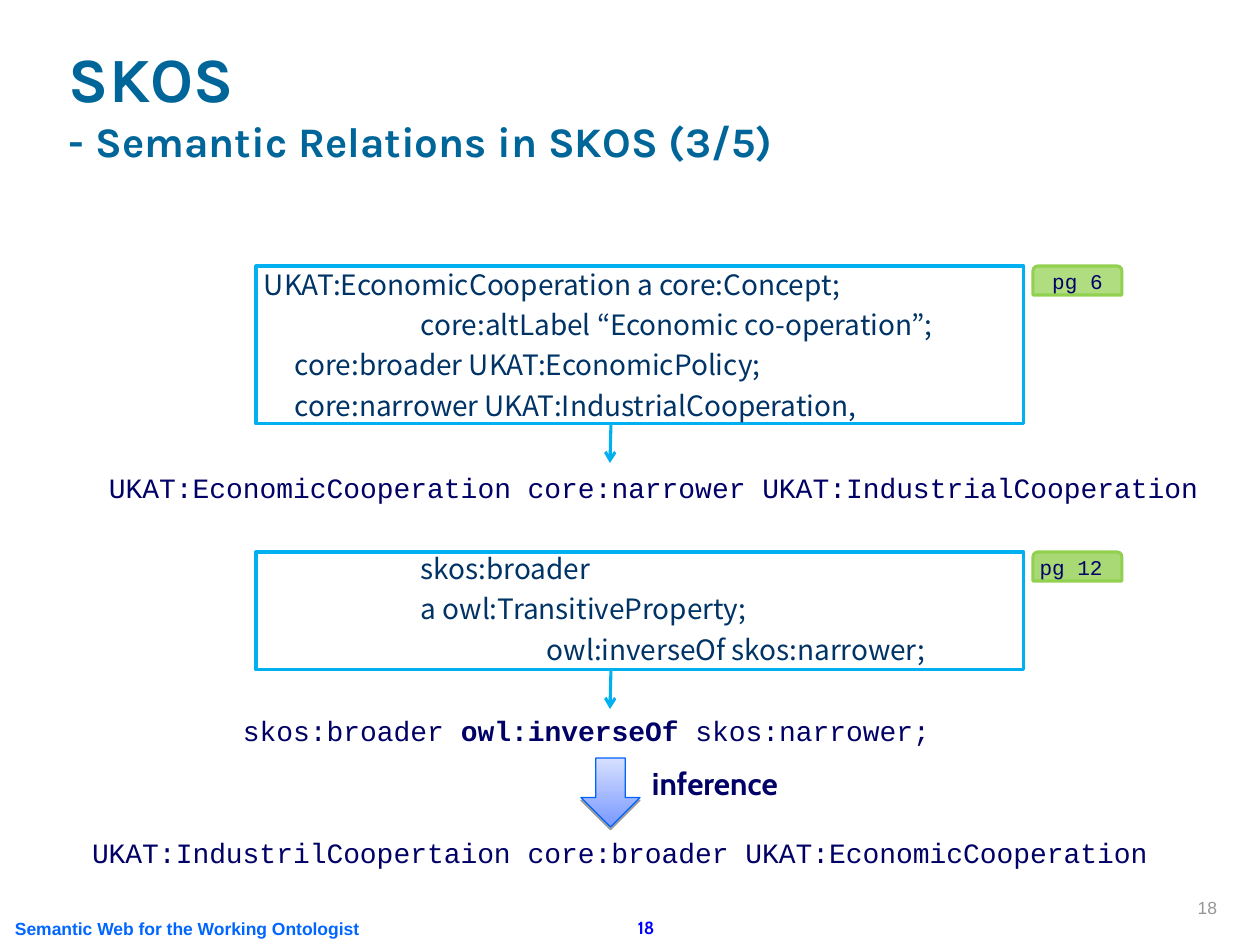
"""Build the SKOS semantic relations slide."""
import pptx
import pptx.dml.color
import pptx.enum.shapes
import pptx.enum.text
import pptx.oxml
import pptx.oxml.ns
import pptx.util

SCALE = 914400 // 126
SHAPES = pptx.enum.shapes.MSO_SHAPE
ALIGN = pptx.enum.text.PP_ALIGN
ANCHOR = pptx.enum.text.MSO_ANCHOR
NAVY, CYAN, GREEN = "000066", "00B0F0", "92D050"

TITLE = {"name": "Karla", "bold": True, "color": "006699"}
CODE = {"name": "Noto Sans CJK KR", "size": 16, "color": "003366"}
TRIPLE = {"name": "Courier New", "size": 16, "color": NAVY}
TAG = {**TRIPLE, "size": 12}
INFERENCE = {"name": "Cabin", "size": 18, "bold": True, "color": NAVY}
SOURCE = {"name": "Arial", "size": 10, "bold": True, "color": "0066FF"}
PAGE = {"name": "Cabin", "size": 10, "bold": True, "color": "0000FF"}
CORNER_PAGE = {"name": "Arial", "size": 10, "color": "969696"}

TITLE_LINES = [("SKOS", 36), ("- Semantic Relations in SKOS (3/5)", 24)]

# (top, height, bottom inset, page tag, tag opacity, [(indent, code line)])
LISTINGS = [
    (266, 158, 2, "pg 6", 72, [
        (8, "UKAT:EconomicCooperation a core:Concept;"),
        (165, "core:altLabel “Economic co-operation”;"),
        (39, "core:broader UKAT:EconomicPolicy;"),
        (39, "core:narrower UKAT:IndustrialCooperation,"),
    ]),
    (552, 118, 4, "pg 12 ", 79, [
        (165, "skos:broader"),
        (165, "a owl:TransitiveProperty;"),
        (291, "owl:inverseOf skos:narrower;"),
    ]),
]

# (left, middle, [(text, bold)])
TRIPLES = [
    (109, 487, [("UKAT:EconomicCooperation core:narrower UKAT:IndustrialCooperation", False)]),
    (243, 730, [("skos:broader ", False), ("owl:inverseOf", True), (" skos:narrower;", False)]),
    (92, 852, [("UKAT:IndustrilCoopertaion core:broader UKAT:EconomicCooperation", False)]),
]

# (area, text, style, alignment, anchor)
LABELS = [
    ((639, 758, 207, 50), "inference", INFERENCE, ALIGN.LEFT, ANCHOR.TOP),
    ((2, 912, 440, 33), "Semantic Web for the Working Ontologist", SOURCE,
     ALIGN.LEFT, ANCHOR.TOP),
    ((591, 911, 110, 34), "18", PAGE, ALIGN.CENTER, ANCHOR.TOP),
    ((968, 861, 262, 63), "18", CORNER_PAGE, ALIGN.RIGHT, ANCHOR.BOTTOM),
]


def px(*lengths):
    return [pptx.util.Emu(length * SCALE) for length in lengths]


def rgb(value):
    return pptx.dml.color.RGBColor.from_string(value)


def add_xml(parent, body):
    parent.append(pptx.oxml.parse_xml(body.replace(">", f" {pptx.oxml.ns.nsdecls('a')}>", 1)))


def style_font(font, style):
    for key, value in style.items():
        if key == "color":
            font.color.rgb = rgb(value)
        else:
            setattr(font, key, pptx.util.Pt(value) if key == "size" else value)


def style_frame(frame, insets, anchor=ANCHOR.TOP, wrap=False):
    left, top, right, bottom = px(*insets)
    settings = {"margin_left": left, "margin_top": top, "margin_right": right,
                "margin_bottom": bottom, "vertical_anchor": anchor, "word_wrap": wrap}
    for key, value in settings.items():
        setattr(frame, key, value)


def write(paragraph, text, style, alignment=ALIGN.LEFT):
    paragraph.alignment = alignment
    run = paragraph.add_run()
    run.text = text
    style_font(run.font, style)


def next_paragraph(frame, index):
    return frame.add_paragraph() if index else frame.paragraphs[0]


def add_label(slide, area, text, style, alignment, anchor):
    frame = slide.shapes.add_textbox(*px(*area)).text_frame
    style_frame(frame, (13, 6, 13, 6), anchor, True)
    write(frame.paragraphs[0], text, style, alignment)


def add_outlined(slide, preset, area, color, width):
    shape = slide.shapes.add_shape(preset, *px(*area))
    shape.shadow.inherit = False
    shape.line.color.rgb = rgb(color)
    shape.line.width = pptx.util.Pt(width)
    return shape


def add_title(slide):
    frame = slide.shapes.add_textbox(*px(56, 14, 1071, 158)).text_frame
    style_frame(frame, (13, 6, 13, 6), ANCHOR.BOTTOM, True)
    for index, (text, size) in enumerate(TITLE_LINES):
        write(next_paragraph(frame, index), text, {**TITLE, "size": size})


def add_listing(slide, top, height, inset, page, opacity, lines):
    box = add_outlined(slide, SHAPES.RECTANGLE, (256, top, 768, height), CYAN, 1.75)
    box.fill.background()
    style_frame(box.text_frame, (0, 0, 0, inset), ANCHOR.BOTTOM, True)
    for index, (indent, text) in enumerate(lines):
        paragraph = next_paragraph(box.text_frame, index)
        write(paragraph, text, CODE)
        paragraph.line_spacing = pptx.util.Pt(23.1)
        paragraph._p.get_or_add_pPr().set("marL", str(indent * SCALE))

    tag = add_outlined(slide, SHAPES.ROUND_2_SAME_RECTANGLE, (1033, top, 89, 29), GREEN, 1.75)
    tag.fill.solid()
    tag.fill.fore_color.rgb = rgb(GREEN)
    fill_color = tag._element.spPr.find(pptx.oxml.ns.qn("a:solidFill"))[0]
    add_xml(fill_color, f'<a:alpha val="{opacity * 1000}"></a:alpha>')
    style_frame(tag.text_frame, (13, 6, 13, 6), ANCHOR.MIDDLE)
    write(tag.text_frame.paragraphs[0], page, TAG, ALIGN.CENTER)

    bottom = top + height
    arrow = slide.shapes.add_connector(
        pptx.enum.shapes.MSO_CONNECTOR.STRAIGHT, *px(611, bottom, 610, bottom + 39))
    arrow.line.color.rgb = rgb(CYAN)
    arrow.line.width = pptx.util.Pt(1.75)
    add_xml(arrow.line._get_or_add_ln(), '<a:tailEnd type="arrow"></a:tailEnd>')
    add_xml(arrow._element.spPr, "<a:effectLst></a:effectLst>")


def add_triple(slide, left, middle, parts):
    frame = slide.shapes.add_textbox(*px(left, middle - 20, 1120, 40)).text_frame
    style_frame(frame, (0, 0, 0, 0), ANCHOR.MIDDLE, True)
    for text, bold in parts:
        write(frame.paragraphs[0], text, {**TRIPLE, "bold": bold})


def add_inference_arrow(slide):
    arrow = add_outlined(slide, SHAPES.DOWN_ARROW, (581, 758, 59, 69), "0062FF", 0.75)
    arrow.fill.gradient()
    arrow.fill.gradient_angle = 90
    for stop, color in zip(arrow.fill.gradient_stops, ("7898FF", "D7E0FF")):
        stop.color.rgb = rgb(color)
    effects = arrow._element.spPr.find(pptx.oxml.ns.qn("a:effectLst"))
    add_xml(effects, '<a:outerShdw blurRad="0" dist="20320" dir="5400000" rotWithShape="0">'
            '<a:srgbClr val="000000"><a:alpha val="38000"/></a:srgbClr></a:outerShdw>')


def main():
    deck = pptx.Presentation()
    deck.slide_width, deck.slide_height = px(1260, 945)
    slide = deck.slides.add_slide(deck.slide_layouts[6])
    add_title(slide)
    for listing in LISTINGS:
        add_listing(slide, *listing)
    for triple in TRIPLES:
        add_triple(slide, *triple)
    add_inference_arrow(slide)
    for label in LABELS:
        add_label(slide, *label)
    deck.save("out.pptx")


if __name__ == "__main__":
    main()
